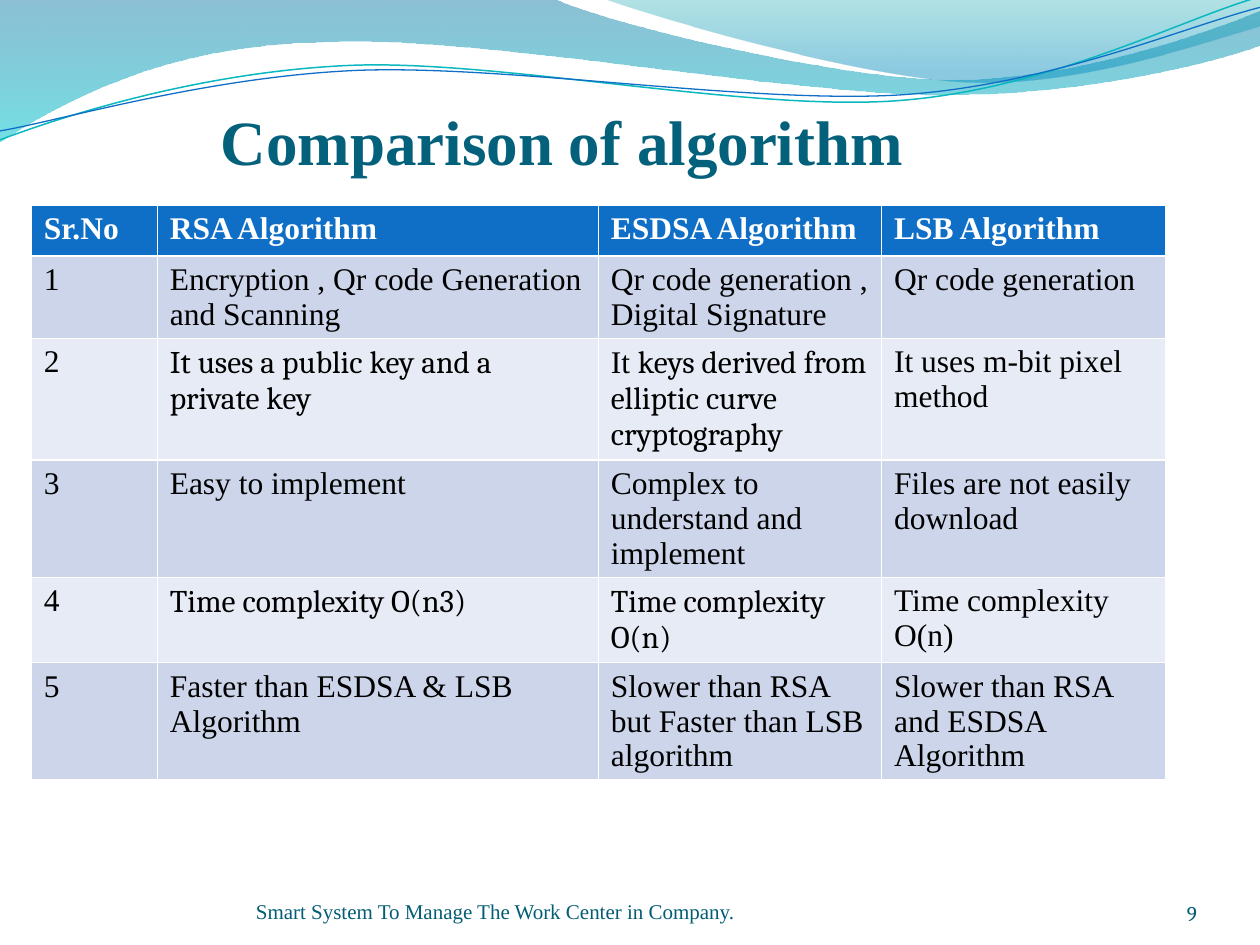
"""Build the slide that compares the RSA, ESDSA and LSB algorithms."""
from lxml.etree import SubElement
from pptx import Presentation
from pptx.dml.color import RGBColor
from pptx.enum.text import MSO_ANCHOR, MSO_AUTO_SIZE, PP_ALIGN
from pptx.oxml.ns import qn
from pptx.util import Cm, Pt

WHITE = RGBColor(0xFF, 0xFF, 0xFF)
BLACK = RGBColor(0, 0, 0)
BLUE = RGBColor(0x0F, 0x6F, 0xC6)
TURQUOISE = RGBColor(0x0A, 0xB8, 0xBF)
TITLE_TEAL = RGBColor(0x04, 0x61, 0x7B)
FOOTER_TEAL = RGBColor(0x04, 0x5D, 0x75)
NUMBER_TEAL = RGBColor(0x04, 0x5C, 0x75)
ROW_FILLS = RGBColor(0xCC, 0xD5, 0xEA), RGBColor(0xE7, 0xEB, 0xF5)
SERIF, CAMBRIA = "Times New Roman", "Cambria"

TITLE = "Comparison of algorithm"
COL_WIDTHS = [2.54, 8.89, 5.71, 5.72]
HEADER = ["Sr.No", "RSA Algorithm", "ESDSA Algorithm", "LSB Algorithm"]
ROWS = [
    ["Encryption , Qr code Generation and Scanning",
     "Qr code generation , Digital Signature", "Qr code generation"],
    [[("It uses a public key and a private key", CAMBRIA)],
     [("It ", SERIF), ("keys derived from elliptic curve cryptography", CAMBRIA)],
     "It uses m-bit pixel method"],
    ["Easy to implement", "Complex to understand and implement",
     "Files are not easily download"],
    [[("Time complexity O(n3)", CAMBRIA)], [("Time complexity O(n)", CAMBRIA)],
     "Time complexity O(n)"],
    ["Faster than ESDSA & LSB Algorithm",
     "Slower than RSA but Faster than LSB algorithm",
     "Slower than RSA and ESDSA Algorithm"],
]
FOOTERS = [
    ("Smart System To Manage The Work Center in Company.", (5.16, 17.65, 13.26, 0.97),
     SERIF, FOOTER_TEAL, PP_ALIGN.LEFT),
    ("9", (22.02, 17.65, 2.11, 1.02), CAMBRIA, NUMBER_TEAL, PP_ALIGN.RIGHT),
]
BANDS = [
    {"start": (0, -0.02),
     "segments": [[(11.18, -0.02)],
                  [(12.09, 0.43), (16.87, 1.6), (19.25, 1.6)],
                  [(21.67, 1.6), (24.33, 0.66), (25.4, 0.23)],
                  [(25.42, 0.91)],
                  [(24.97, 1.12), (22.1, 1.93), (18.95, 1.91)],
                  [(15.8, 1.91), (9.7, 0.71), (6.53, 0.86)],
                  [(3.28, 0.89), (1.17, 2.11), (-0.02, 2.87)]],
     "stops": [(0, RGBColor(0x00, 0x74, 0xA1), 45), (1, RGBColor(0x00, 0xC6, 0xCF), 55)]},
    {"start": (12.17, -0.02),
     "segments": [[(12.93, 0.28), (17.32, 1.57), (19.53, 1.65)],
                  [(21.74, 1.75), (24.41, 0.81), (25.4, 0.53)],
                  [(25.4, 0)]],
     "stops": [(0, RGBColor(0x00, 0xA1, 0xA9), 30), (0.8, RGBColor(0x00, 0x8B, 0xBF), 45)]},
]
WAVES = [
    {"start": (0, 2.82),
     "segments": [[(1.22, 2.36), (4.01, 1.45), (7.04, 1.32)],
                  [(10.03, 1.19), (15.06, 2.26), (18.11, 2.03)],
                  [(21.16, 1.8), (23.83, 0.38), (25.35, -0.05)]],
     "color": TURQUOISE, "width": 0.85},
    {"start": (0, 2.64),
     "segments": [[(1.19, 2.44), (4.17, 1.55), (7.19, 1.42)],
                  [(10.24, 1.3), (15.16, 2.11), (18.21, 1.91)],
                  [(21.23, 1.7), (23.9, 0.53), (25.4, 0.15)]],
     "color": BLUE, "width": 0.75},
]


def set_attrs(obj, **values):
    for name, value in values.items():
        setattr(obj, name, value)


def add_runs(p, runs, size, color, bold=False):
    for text, font in runs:
        r = p.add_run()
        r.text = text
        set_attrs(r.font, name=font, size=Pt(size), bold=bold)
        r.font.color.rgb = color


def bend_segments(sp, segments):
    lines = iter(list(sp.element.iter(qn("a:lnTo"))))
    for segment in segments:
        first, *others = [next(lines) for _ in segment]
        if others:
            first.tag = qn("a:cubicBezTo")
            for line in others:
                first.append(line[0])
                line.getparent().remove(line)


def add_outline(s, start, segments, close):
    points = [(Cm(x), Cm(y)) for x, y in [start, *sum(segments, [])]]
    builder = s.shapes.build_freeform(*points[0])
    builder.add_line_segments(points[1:], close=close)
    sp = builder.convert_to_shape()
    sp.shadow.inherit = False
    bend_segments(sp, segments)
    return sp


def add_band(s, start, segments, stops):
    sp = add_outline(s, start, segments, True)
    sp.line.fill.background()
    sp.fill.gradient()
    sp.fill.gradient_angle = 270
    for stop, (position, color, _) in zip(sp.fill.gradient_stops, stops):
        stop.position = position
        stop.color.rgb = color
    colors = list(sp.element.spPr.iter(qn("a:srgbClr")))
    for element, (_, _, opacity) in zip(colors, stops):
        SubElement(element, qn("a:alpha")).set("val", str(opacity * 1000))


def add_wave(s, start, segments, color, width):
    sp = add_outline(s, start, segments, False)
    sp.fill.background()
    sp.line.color.rgb = color
    sp.line.width = Pt(width)


def add_title(s):
    sp = s.shapes.title
    set_attrs(sp, left=Cm(1.27), top=Cm(0.42), width=Cm(22.86), height=Cm(3.17))
    tf = sp.text_frame
    set_attrs(tf, auto_size=MSO_AUTO_SIZE.NONE, word_wrap=True,
              vertical_anchor=MSO_ANCHOR.BOTTOM, margin_left=Cm(3.18),
              margin_right=0, margin_top=Cm(0.13), margin_bottom=0)
    p = tf.paragraphs[0]
    p.alignment = PP_ALIGN.LEFT
    add_runs(p, [(TITLE, SERIF)], 36, TITLE_TEAL, True)


def add_comparison(s):
    rows = [HEADER] + [[str(n), *row] for n, row in enumerate(ROWS, 1)]
    row_height = Cm(1.03)
    table = s.shapes.add_table(len(rows), len(HEADER), Cm(0.63), Cm(4.13),
                               Cm(sum(COL_WIDTHS)), row_height * len(rows)).table
    for column, width in zip(table.columns, COL_WIDTHS):
        column.width = Cm(width)
    for i, row in enumerate(rows):
        header = i == 0
        for j, content in enumerate(row):
            cell = table.cell(i, j)
            cell.fill.solid()
            cell.fill.fore_color.rgb = BLUE if header else ROW_FILLS[(i - 1) % 2]
            runs = [(content, SERIF)] if isinstance(content, str) else content
            add_runs(cell.text_frame.paragraphs[0], runs, 18,
                     WHITE if header else BLACK, header)


def add_footer(s, text, box, font, color, align):
    tf = s.shapes.add_textbox(*map(Cm, box)).text_frame
    set_attrs(tf, word_wrap=True, vertical_anchor=MSO_ANCHOR.BOTTOM,
              margin_left=0, margin_right=0, margin_top=0, margin_bottom=0)
    p = tf.paragraphs[0]
    p.alignment = align
    add_runs(p, [(text, font)], 12, color)


def main():
    prs = Presentation()
    set_attrs(prs, slide_width=Cm(25.4), slide_height=Cm(19.05))
    s = prs.slides.add_slide(prs.slide_layouts[5])
    for band in BANDS:
        add_band(s, **band)
    for wave in WAVES:
        add_wave(s, **wave)
    add_title(s)
    add_comparison(s)
    for footer in FOOTERS:
        add_footer(s, *footer)
    prs.save("out.pptx")


if __name__ == "__main__":
    main()
